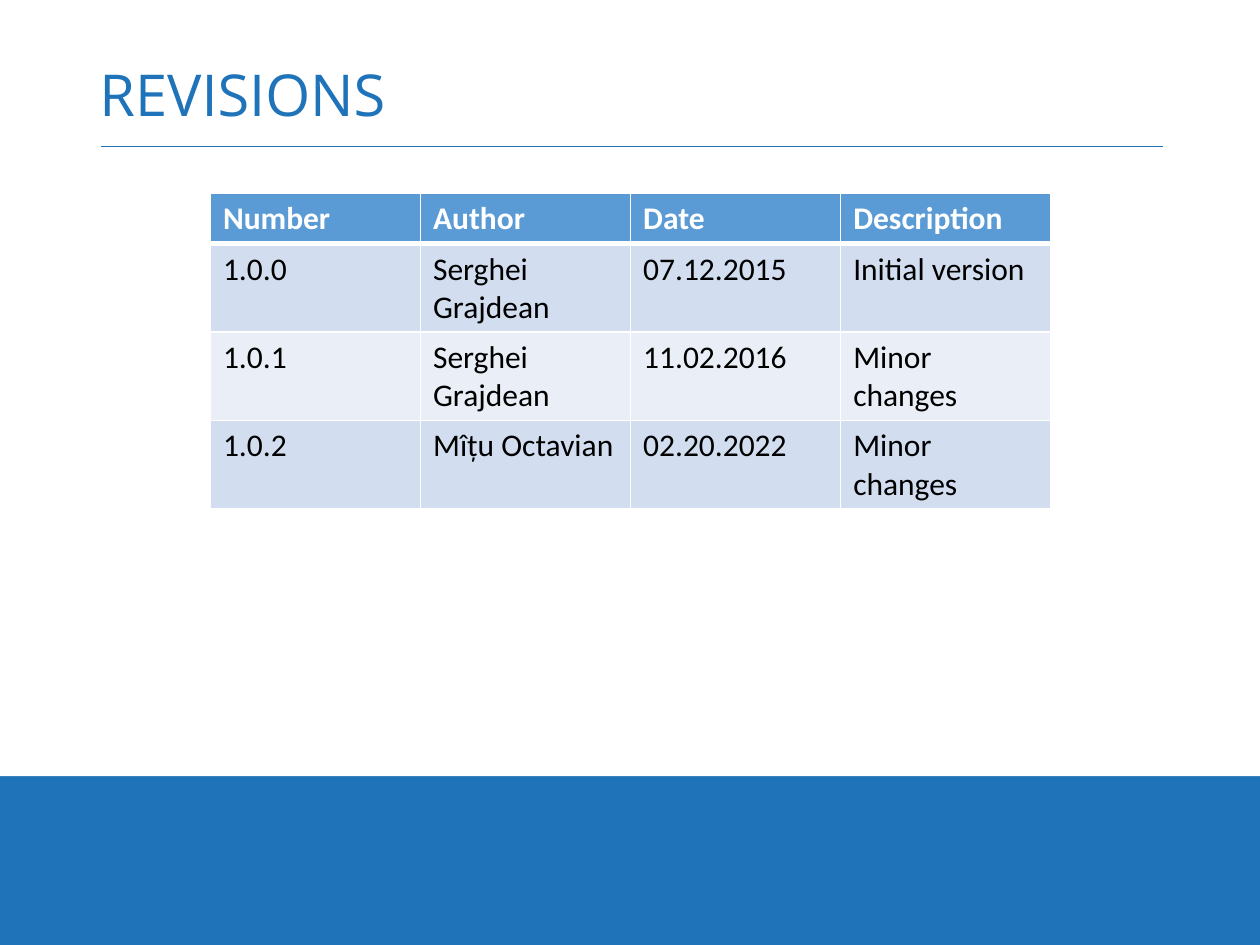
from lxml import etree
from pptx import Presentation
from pptx import util as u
from pptx.dml.color import RGBColor
from pptx.enum import shapes, text
from pptx.oxml import ns

BLUE = RGBColor(0x1E, 0x73, 0xB9)
HEAD = RGBColor(0x5B, 0x9B, 0xD5)
BANDS = [RGBColor(0xEA, 0xEF, 0xF7), RGBColor(0xD2, 0xDE, 0xEF)]
WHITE = RGBColor(255, 255, 255)
BLACK = RGBColor(0, 0, 0)

ROWS = [
    ["Number", "Author", "Date", "Description"],
    ["1.0.0", "Serghei Grajdean", "07.12.2015", "Initial version"],
    ["1.0.1", "Serghei Grajdean", "11.02.2016", "Minor changes"],
    ["1.0.2", "Mîțu Octavian", "02.20.2022", "Minor changes"],
]


def add_edge(cell, side, width):
    """Draw a white border of the given points on one side of a cell."""
    props = cell._tc.get_or_add_tcPr()
    edge = etree.SubElement(props, ns.qn("a:ln" + side), w=str(u.Pt(width)))
    fill = etree.SubElement(edge, ns.qn("a:solidFill"))
    etree.SubElement(fill, ns.qn("a:srgbClr"), val=str(WHITE))


deck = Presentation()
deck.slide_width = u.Inches(10)
deck.slide_height = u.Inches(7.5)
slide = deck.slides.add_slide(deck.slide_layouts[6])
slide.background.fill.solid()
slide.background.fill.fore_color.rgb = BLUE

# White page above the blue footer
page = slide.shapes.add_shape(
    shapes.MSO_SHAPE.RECTANGLE, 0, 0, u.Inches(10), u.Inches(6.16))
page.shadow.inherit = False
page.fill.solid()
page.fill.fore_color.rgb = WHITE
page.line.fill.background()

# Title and its rule
rule = slide.shapes.add_connector(
    shapes.MSO_CONNECTOR.STRAIGHT,
    u.Inches(0.8), u.Inches(1.16), u.Inches(9.23), u.Inches(1.16))
rule.line.color.rgb = BLUE
rule.line.width = u.Pt(0.5)
etree.SubElement(rule._element.spPr, ns.qn("a:effectLst"))

title = slide.shapes.add_textbox(
    u.Inches(0.69), u.Inches(0.4), u.Inches(8.62), u.Inches(0.76))
frame = title.text_frame
frame.word_wrap = True
frame.vertical_anchor = text.MSO_ANCHOR.MIDDLE
line = frame.paragraphs[0]
line.text = "REVISIONS"
line.line_spacing = 0.9
line.font.name = "Open Sans"
line.font.size = u.Pt(33)
line.font.color.rgb = BLUE

# Revision table
table = slide.shapes.add_table(
    len(ROWS), len(ROWS[0]), u.Inches(1.67), u.Inches(1.53),
    u.Inches(6.67), u.Inches(1.62)).table
for r, row in enumerate(ROWS):
    is_head = r == 0
    for c, word in enumerate(row):
        cell = table.cell(r, c)
        for side in "LRTB":
            thick = (is_head and side == "B") or (r == 1 and side == "T")
            add_edge(cell, side, 3 if thick else 1)
        cell.fill.solid()
        cell.fill.fore_color.rgb = HEAD if is_head else BANDS[r % 2]
        cell.text = word
        font = cell.text_frame.paragraphs[0].font
        font.name = "Calibri"
        font.size = u.Pt(18)
        font.bold = is_head
        font.color.rgb = WHITE if is_head else BLACK

deck.save("out.pptx")
